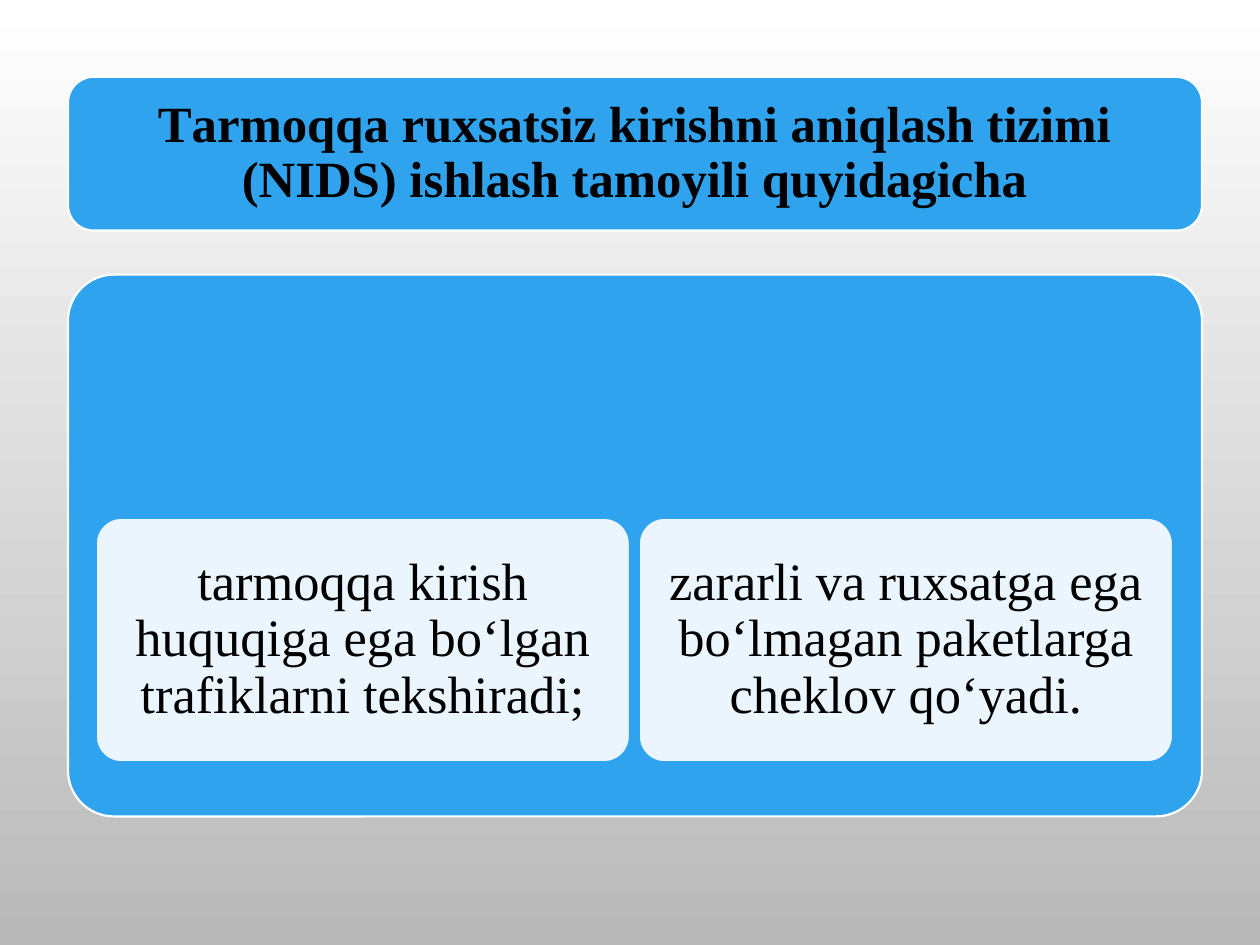
"""Build the slide on how a network intrusion detection system works."""
from dataclasses import dataclass

from lxml import etree
from pptx import Presentation
from pptx.dml.color import RGBColor
from pptx.enum.shapes import MSO_SHAPE
from pptx.enum.text import MSO_ANCHOR, MSO_AUTO_SIZE, PP_ALIGN
from pptx.oxml.ns import qn
from pptx.util import Inches, Pt


@dataclass(frozen=True)
class Theme:
    blue: RGBColor = RGBColor(0x2F, 0xA3, 0xEE)
    white: RGBColor = RGBColor(0xFF, 0xFF, 0xFF)
    grey: RGBColor = RGBColor(0xB9, 0xB9, 0xB9)
    black: RGBColor = RGBColor(0, 0, 0)
    font: str = "Times New Roman"
    title_size: int = 29
    body_size: int = 30
    line_width: float = 1.25


theme = Theme()


def add_card(left, top, width, height, corner, fill, line):
    card = slide.shapes.add_shape(
        MSO_SHAPE.ROUNDED_RECTANGLE,
        Inches(left), Inches(top), Inches(width), Inches(height))
    card.adjustments[0] = corner
    card.shadow.inherit = False
    card.fill.solid()
    card.fill.fore_color.rgb = fill
    card.line.color.rgb = line
    card.line.width = Pt(theme.line_width)
    return card


def write(shape, text, size, bold=False):
    frame = shape.text_frame
    frame.word_wrap = True
    frame.auto_size = MSO_AUTO_SIZE.NONE
    frame.vertical_anchor = MSO_ANCHOR.MIDDLE
    frame.margin_left = frame.margin_right = Inches(0.12)
    frame.margin_top = frame.margin_bottom = Inches(0.12)
    paragraph = frame.paragraphs[0]
    paragraph.alignment = PP_ALIGN.CENTER
    paragraph.line_spacing = 0.9
    run = paragraph.add_run()
    run.text = text
    run.font.name = theme.font
    run.font.size = Pt(size)
    run.font.bold = bold
    run.font.color.rgb = theme.black


prs = Presentation()
prs.slide_width, prs.slide_height = Inches(10), Inches(7.5)
slide = prs.slides.add_slide(prs.slide_layouts[5])

background = slide.background.fill
background.gradient()
background.gradient_angle = 270
for stop, color, position in zip(
        background.gradient_stops, (theme.white, theme.grey), (0, 1)):
    stop.color.rgb = color
    stop.position = position

header = add_card(0.54, 0.61, 9, 1.22, 0.1667, theme.blue, theme.white)
title = slide.shapes.title
title.left, title.top = Inches(0.6), Inches(0.67)
title.width, title.height = Inches(8.88), Inches(1.1)
write(title, "Tаrmоqqа ruхsаtsiz kirishni аniqlаsh tizimi (NIDS) "
             "ishlаsh tаmоyili quyidаgichа", theme.title_size, bold=True)
header.element.addnext(title.element)

add_card(0.54, 2.18, 9, 4.3, 0.085, theme.blue, theme.white)

tasks = (
    "tаrmоqqа kirish huquqigа egа bо‘lgаn trаfiklаrni tekshirаdi;",
    "zаrаrli vа ruхsаtgа egа bо‘lmаgаn pаketlаrgа cheklоv qо‘yаdi.",
)
task_width, task_gap = 4.24, 0.07
for column, task in enumerate(tasks):
    left = 0.76 + column * (task_width + task_gap)
    card = add_card(left, 4.11, task_width, 1.94, 0.105, theme.white, theme.blue)
    color = card.element.spPr.find(qn("a:solidFill")).find(qn("a:srgbClr"))
    etree.SubElement(color, qn("a:alpha")).set("val", "90000")
    write(card, task, theme.body_size)

prs.save("out.pptx")
